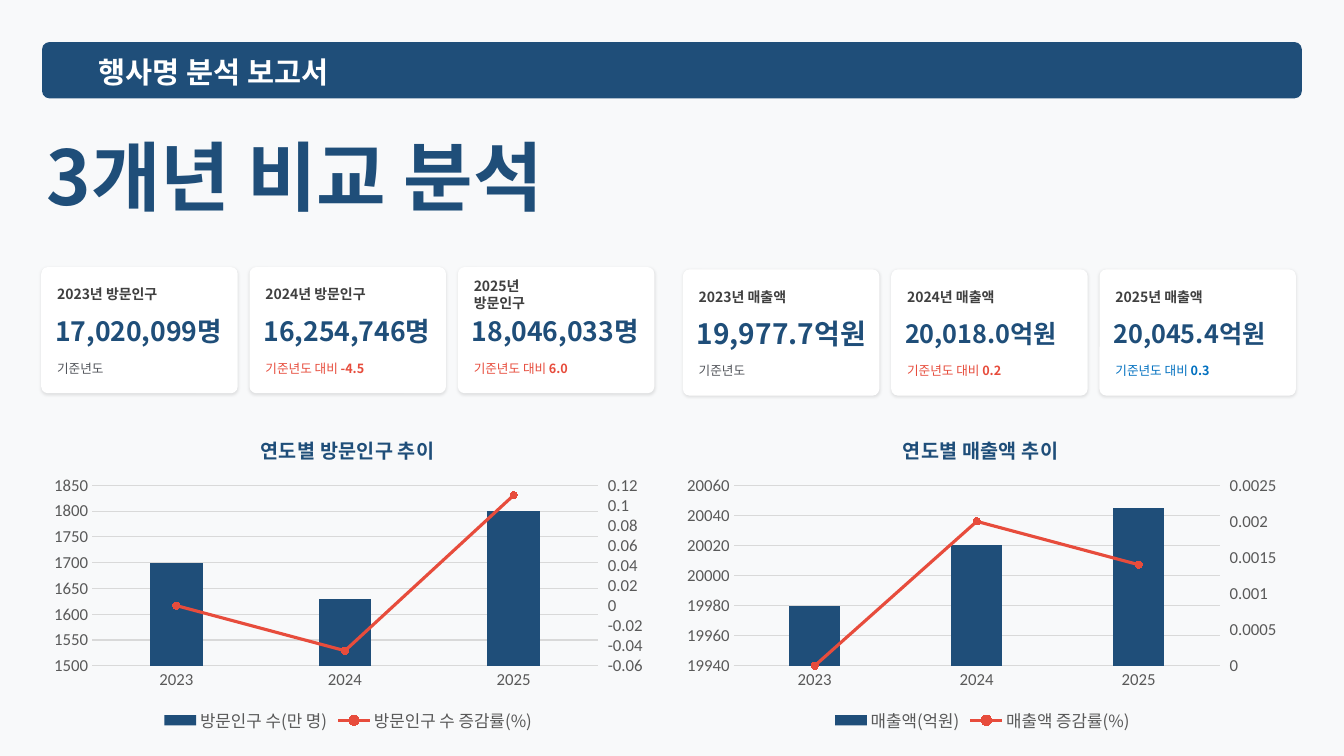
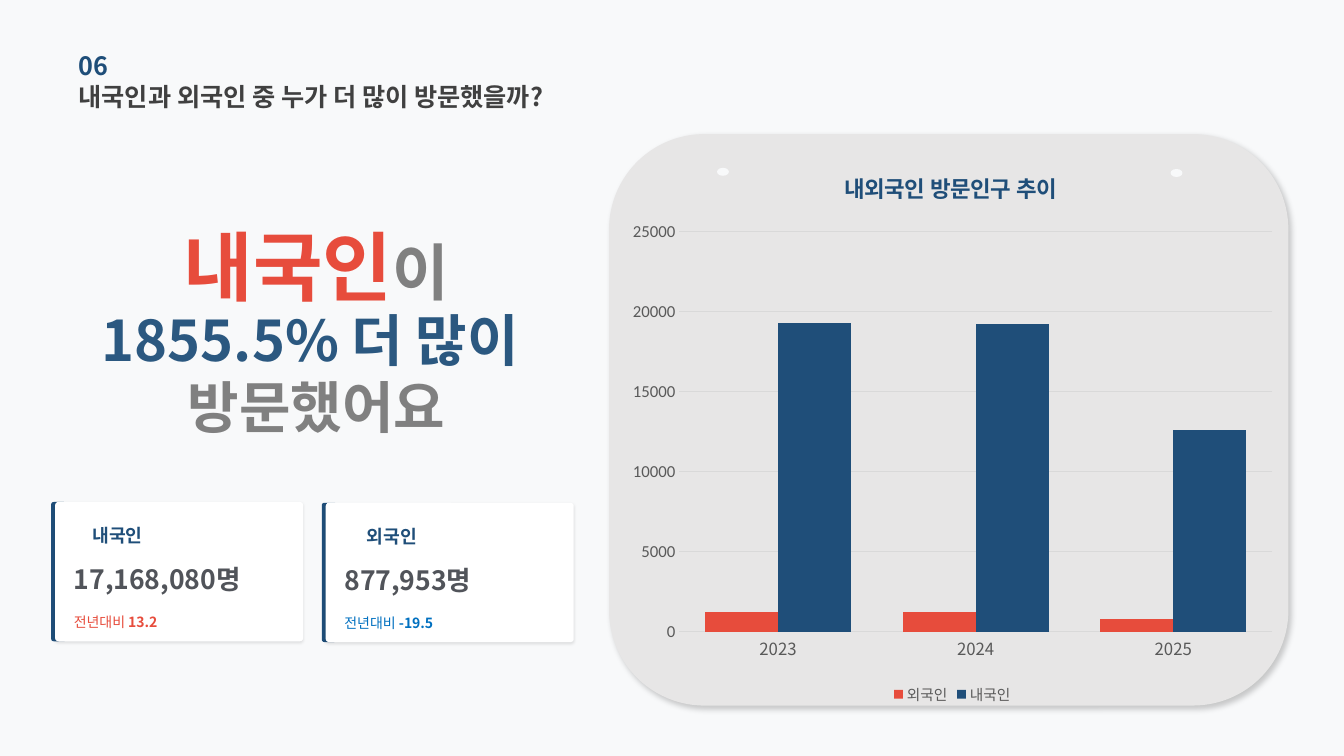
from copy import deepcopy
from dataclasses import dataclass

from lxml.etree import SubElement
from pptx import Presentation
from pptx.chart.axis import CategoryAxis, ValueAxis
from pptx.chart.data import CategoryChartData
from pptx.dml.color import RGBColor
from pptx.enum.chart import XL_CHART_TYPE, XL_LEGEND_POSITION, XL_MARKER_STYLE, XL_TICK_MARK
from pptx.enum.shapes import MSO_SHAPE
from pptx.enum.text import MSO_ANCHOR, MSO_AUTO_SIZE, PP_ALIGN
from pptx.oxml.ns import qn
from pptx.util import Cm, Pt


@dataclass(frozen=True)
class Theme:
    font: str = "Noto Sans CJK KR"
    number_font: str = "Calibri"
    navy: str = "1F4E79"
    blue: str = "2B5880"
    sky: str = "0070C0"
    red: str = "E74C3C"
    dark: str = "404040"
    slate: str = "51545A"
    gray: str = "808080"
    axis: str = "595959"
    grid: str = "D9D9D9"
    panel: str = "E7E6E6"
    page: str = "F8F9FA"
    white: str = "FFFFFF"
    hero: int = 54
    emphasis: int = 44
    statement: int = 40
    banner: int = 21
    value: int = 19
    heading: int = 18
    badge: int = 13
    axis_size: int = 12
    label: int = 10
    note: int = 9


THEME = Theme()
YEARS = ["2023", "2024", "2025"]

KPI_GROUPS = [
    (1.04, 6.73, [
        ("2023년 방문인구", 2.84, "17,020,099명", 19, "기준년도", "", THEME.slate),
        ("2024년 방문인구", 2.84, "16,254,746명", 19, "기준년도 대비 ", "-4.5", THEME.red),
        ("2025년 방문인구", 2.4, "18,046,033명", 19, "기준년도 대비 ", "6.0", THEME.red),
    ]),
    (17.21, 6.79, [
        ("2023년 매출액", 2.84, "19,977.7억원", 20, "기준년도", "", THEME.slate),
        ("2024년 매출액", 2.84, "20,018.0억원", 18, "기준년도 대비 ", "0.2", THEME.red),
        ("2025년 매출액", 2.84, "20,045.4억원", 18, "기준년도 대비 ", "0.3", THEME.sky),
    ]),
]

VISITOR_CARDS = [
    (1.29, 12.65, 1.04, "내국인", "17,168,080명", "13.2", THEME.red),
    (8.11, 12.67, 1.13, "외국인", "877,953명", "-19.5", THEME.sky),
]

TREND_CHARTS = [
    dict(title="연도별 방문인구 추이", frame=(1.04, 10.52, 15.47, 8.05),
         plot=(2.32, 12.23, 12.75, 4.55), title_at=(6.48, 10.83), scale=(1500, 1850, 50),
         series=[("방문인구 수(만 명)", [1700, 1630, 1800], THEME.navy),
                 ("방문인구 수 증감률(%)", [0, -0.045, 0.11], THEME.red)],
         rate_scale=(-0.06, 0.12, 0.02)),
    dict(title="연도별 매출액 추이", frame=(17.02, 10.52, 15.47, 8.05),
         plot=(18.49, 12.23, 12.25, 4.55), title_at=(22.66, 10.83), scale=(19940, 20060, 20),
         series=[("매출액(억원)", [19980, 20020, 20045], THEME.navy),
                 ("매출액 증감률(%)", [0, 0.002, 0.0014], THEME.red)],
         rate_scale=(0, 0.0025, 0.0005)),
]

VISITOR_CHART = dict(
    title="내외국인 방문인구 추이", frame=(15.62, 3.76, 16.76, 14.1),
    plot=(17.12, 5.83, 14.94, 10.09), title_at=(21.17, 4.17), scale=(0, 25000, 5000),
    series=[("외국인", [1200, 1200, 800], THEME.red),
            ("내국인", [19300, 19200, 12600], THEME.navy)],
    gap=70, title_size=16, legend_size=10.5, category_font=THEME.font)


def rgb(color):
    return RGBColor.from_string(color)


def style(font, size, color, bold=False, name=THEME.font):
    font.size, font.bold, font.name = Pt(size), bold, name
    font.color.rgb = rgb(color)
    latin = font._element.find(qn("a:latin"))
    east_asian = deepcopy(latin)
    east_asian.tag = qn("a:ea")
    latin.addnext(east_asian)


def write(box, paragraphs, align=PP_ALIGN.LEFT, wrap=True):
    frame = box.text_frame
    frame.auto_size, frame.word_wrap = MSO_AUTO_SIZE.NONE, wrap
    frame.vertical_anchor = MSO_ANCHOR.MIDDLE
    frame.margin_left = frame.margin_right = frame.margin_top = frame.margin_bottom = 0
    for index, spans in enumerate(paragraphs):
        para = frame.add_paragraph() if index else frame.paragraphs[0]
        para.alignment = align
        for text, size, color, bold in spans:
            span = para.add_run()
            span.text = text
            style(span.font, size, color, bold)


def add_text(page, at, *paragraphs, **options):
    write(page.shapes.add_textbox(*map(Cm, at)), paragraphs, **options)


def set_title(page, at, text, size, color):
    title = page.shapes.title
    title.left, title.top, title.width, title.height = map(Cm, at)
    write(title, [[(text, size, color, True)]])


def add_block(page, at, color, kind=MSO_SHAPE.ROUNDED_RECTANGLE, radius=None, shadow=None):
    shape = page.shapes.add_shape(kind, *map(Cm, at))
    shape.shadow.inherit = False
    shape.fill.solid()
    shape.fill.fore_color.rgb = rgb(color)
    shape.line.fill.background()
    if radius is not None:
        shape.adjustments[0] = radius
    if shadow:
        alpha, blur, distance, angle = shadow
        effects = shape._element.spPr.find(qn("a:effectLst"))
        outer = SubElement(effects, qn("a:outerShdw"), blurRad=str(Pt(blur)), dist=str(Pt(distance)),
                           dir=str(angle * 60000), algn="tl", rotWithShape="0")
        black = SubElement(outer, qn("a:srgbClr"), val="000000")
        SubElement(black, qn("a:alpha"), val=str(alpha * 1000))


CARD_SHADOW = (10, 2, 1, 90)
PANEL_SHADOW = (20, 4, 3, 45)


def set_layout(parent, index, frame, at, inner=False):
    for old in parent.findall(qn("c:layout")):
        parent.remove(old)
    layout = SubElement(parent, qn("c:layout"))
    parent.insert(index, layout)
    manual = SubElement(layout, qn("c:manualLayout"))
    left, top, width, height = frame
    values = [(at[0] - left) / width, (at[1] - top) / height]
    if inner:
        SubElement(manual, qn("c:layoutTarget"), val="inner")
        values += [at[2] / width, at[3] / height]
    for name in ("xMode", "yMode"):
        SubElement(manual, qn(f"c:{name}"), val="edge")
    for name, value in zip("xywh", values):
        SubElement(manual, qn(f"c:{name}"), val=f"{value:.4f}")


def clear_fill(parent):
    properties = SubElement(parent, qn("c:spPr"))
    SubElement(properties, qn("a:noFill"))
    SubElement(SubElement(properties, qn("a:ln")), qn("a:noFill"))
    return properties


def set_scale(axis, scale):
    axis.minimum_scale, axis.maximum_scale, axis.major_unit = scale


def move_to_rate_axis(chart, scale):
    bar = chart.plots[0]._element
    plot_area = bar.getparent()
    series = bar.findall(qn("c:ser"))[1]
    invert = series.find(qn("c:invertIfNegative"))
    if invert is not None:
        series.remove(invert)

    line = SubElement(plot_area, qn("c:lineChart"))
    bar.addnext(line)
    SubElement(line, qn("c:grouping"), val="standard")
    SubElement(line, qn("c:varyColors"), val="0")
    line.append(series)
    SubElement(line, qn("c:marker"), val="1")

    category = deepcopy(chart.category_axis._element)
    value = deepcopy(chart.value_axis._element)
    ids = {"category": "50010", "value": "50020"}
    for axis, own, other in ((category, "category", "value"), (value, "value", "category")):
        axis.find(qn("c:axId")).set("val", ids[own])
        axis.find(qn("c:crossAx")).set("val", ids[other])
        SubElement(line, qn("c:axId"), val=ids[own])
    value.find(qn("c:axPos")).set("val", "r")
    value.find(qn("c:crosses")).set("val", "max")
    chart.value_axis._element.addnext(value)
    value.addnext(category)
    CategoryAxis(category).visible = False
    rate_axis = ValueAxis(value)
    rate_axis.has_major_gridlines = False
    rate_axis.major_tick_mark = XL_TICK_MARK.OUTSIDE
    set_scale(rate_axis, scale)


def add_column_chart(page, title, frame, plot, title_at, scale, series, rate_scale=None, gap=219,
                     title_size=14, legend_size=12, category_font=THEME.number_font):
    data = CategoryChartData()
    data.categories = YEARS
    for name, values, _ in series:
        data.add_series(name, values)
    chart = page.shapes.add_chart(XL_CHART_TYPE.COLUMN_CLUSTERED, *map(Cm, frame), data).chart
    style(chart.font, THEME.label, "000000", name=THEME.number_font)

    chart.has_title = True
    span = chart.chart_title.text_frame.paragraphs[0].add_run()
    span.text = title
    style(span.font, title_size, THEME.navy, True)
    set_layout(chart.chart_title._element, 1, frame, title_at)

    chart.has_legend = True
    chart.legend.position = XL_LEGEND_POSITION.BOTTOM
    chart.legend.include_in_layout = False
    style(chart.legend.font, legend_size, THEME.axis)

    category_axis, value_axis = chart.category_axis, chart.value_axis
    for axis, font in ((category_axis, category_font), (value_axis, THEME.number_font)):
        axis.major_tick_mark = axis.minor_tick_mark = XL_TICK_MARK.NONE
        style(axis.tick_labels.font, THEME.axis_size, THEME.axis, name=font)
    value_axis.tick_labels.number_format = "General"
    value_axis.tick_labels.number_format_is_linked = False
    value_axis.format.line.fill.background()
    set_scale(value_axis, scale)
    for line in (category_axis.format.line, value_axis.major_gridlines.format.line):
        line.color.rgb, line.width = rgb(THEME.grid), Pt(0.75)

    columns = chart.plots[0]
    columns.gap_width, columns.overlap, columns.vary_by_categories = gap, 0, False
    for column, (_, _, color) in zip(columns.series, series):
        column.format.fill.solid()
        column.format.fill.fore_color.rgb = rgb(color)

    if rate_scale:
        move_to_rate_axis(chart, rate_scale)
        rate, color = chart.plots[1].series[0], rgb(series[1][2])
        rate.smooth = False
        rate.format.fill.background()
        rate.format.line.color.rgb, rate.format.line.width = color, Pt(2.25)
        rate.marker.style, rate.marker.size = XL_MARKER_STYLE.CIRCLE, 5
        rate.marker.format.fill.solid()
        rate.marker.format.fill.fore_color.rgb = color
        rate.marker.format.line.color.rgb = color

    plot_area = columns._element.getparent()
    set_layout(plot_area, 0, frame, plot, inner=True)
    clear_fill(plot_area)
    chart_space = plot_area.getparent().getparent()
    plot_area.getparent().addnext(clear_fill(chart_space))


def add_kpi_card(page, left, top, card):
    label, label_width, value, value_size, note, change, note_color = card
    add_block(page, (left, top, 4.95, 3.18), THEME.white, radius=0.053, shadow=CARD_SHADOW)
    add_text(page, (left + 0.4, top + 0.46, label_width, 0.45), [(label, THEME.label, THEME.dark, True)])
    add_text(page, (left + 0.35, top + 1.25, 4.95, 0.74),
             [(value, value_size, THEME.navy, True)], wrap=False)
    spans = [(note, THEME.note, note_color, False)]
    if change:
        spans.append((change, THEME.note, note_color, True))
    add_text(page, (left + 0.4, top + 2.29, 4.4, 0.53), spans)


def add_visitor_card(page, left, top, indent, label, value, change, color):
    add_block(page, (left, top, 0.38, 3.51), THEME.navy)
    add_block(page, (left + 0.1, top, 6.25, 3.51), THEME.white, radius=0.023, shadow=CARD_SHADOW)
    add_text(page, (left + indent, top + 0.49, 1.65, 0.71),
             [(label, THEME.badge, THEME.navy, True)], wrap=False)
    add_text(page, (left + 0.57, top + 1.45, 6.4, 0.99), [(value, THEME.value, THEME.slate, True)])
    add_text(page, (left + 0.57, top + 2.46, 6.4, 1.14),
             [("전년대비 ", THEME.label, color, False), (change, THEME.label, color, True)])


def build_comparison(page):
    for left, top, cards in KPI_GROUPS:
        for index, card in enumerate(cards):
            add_kpi_card(page, left + index * 5.25, top, card)
    add_block(page, (1.06, 1.06, 31.75, 1.42), THEME.navy, radius=0.132)
    add_text(page, (2.49, 1.26, 8, 1.09), [("행사명 분석 보고서", THEME.banner, THEME.white, True)])
    set_title(page, (1.17, 3.02, 16.05, 2.77), "3개년 비교 분석", THEME.hero, THEME.navy)
    for chart in TREND_CHARTS:
        add_column_chart(page, **chart)


def build_visitors(page):
    add_block(page, (15.35, 3.38, 17.12, 14.4), THEME.panel, shadow=PANEL_SHADOW)
    set_title(page, (1.98, 1.9, 13.41, 1.04), "내국인과 외국인 중 누가 더 많이 방문했을까?",
              THEME.heading, THEME.dark)
    add_text(page, (1.98, 1.12, 11.48, 1.04), [("06", THEME.heading, THEME.navy, True)])
    for left, top in ((18.07, 4.23), (29.5, 4.26)):
        add_block(page, (left, top, 0.3, 0.2), THEME.page, kind=MSO_SHAPE.OVAL)
    add_text(page, (2.52, 6.08, 10.9, 1.22),
             [("내국인", THEME.hero, THEME.red, True), ("이", THEME.emphasis, THEME.gray, True)],
             align=PP_ALIGN.CENTER)
    add_text(page, (0.97, 8.33, 14.02, 2.13),
             [("1855.5% 더 많이 ", THEME.statement, THEME.blue, True)],
             [("방문했어요", THEME.statement, THEME.gray, True)], align=PP_ALIGN.CENTER)
    for card in VISITOR_CARDS:
        add_visitor_card(page, *card)
    add_column_chart(page, **VISITOR_CHART)


def main():
    deck = Presentation()
    deck.slide_width, deck.slide_height = Cm(33.87), Cm(19.05)
    background = deck.slide_master.background.fill
    background.solid()
    background.fore_color.rgb = rgb(THEME.page)
    for build in (build_comparison, build_visitors):
        build(deck.slides.add_slide(deck.slide_layouts[5]))
    deck.save("out.pptx")


if __name__ == "__main__":
    main()
